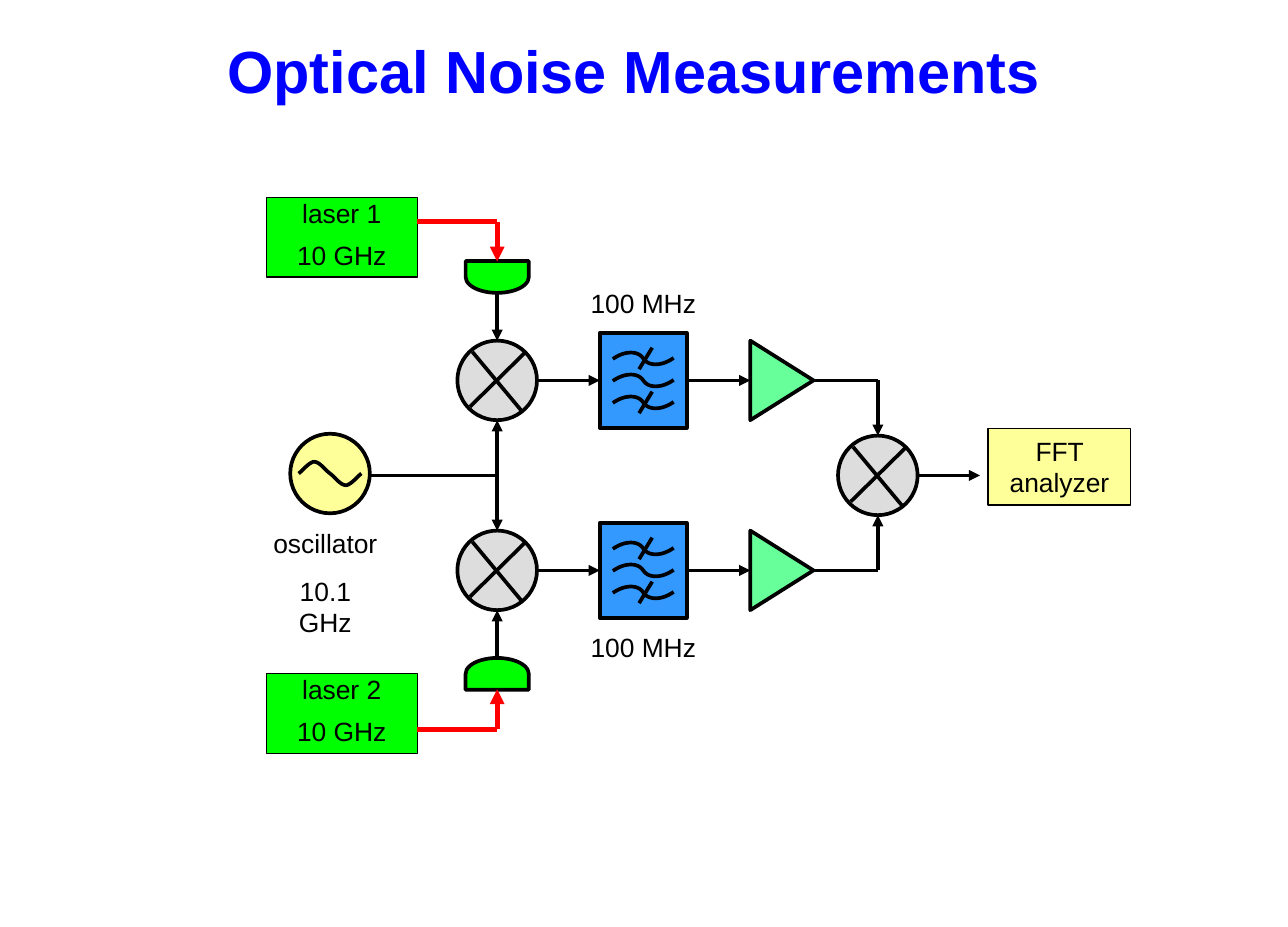
from dataclasses import dataclass

from lxml import etree
from pptx import Presentation
from pptx.dml.color import RGBColor
from pptx.enum.shapes import MSO_CONNECTOR, MSO_SHAPE
from pptx.enum.text import MSO_ANCHOR, MSO_AUTO_SIZE, PP_ALIGN
from pptx.oxml.ns import qn
from pptx.util import Cm, Pt

RECT, CIRCLE = MSO_SHAPE.RECTANGLE, MSO_SHAPE.OVAL
DELAY, TRIANGLE = MSO_SHAPE.FLOWCHART_DELAY, MSO_SHAPE.ISOSCELES_TRIANGLE
STRAIGHT = MSO_CONNECTOR.STRAIGHT
TOP, MIDDLE = MSO_ANCHOR.TOP, MSO_ANCHOR.MIDDLE
CENTER, NO_AUTOSIZE = PP_ALIGN.CENTER, MSO_AUTO_SIZE.NONE

COLORS = {
    "black": "000000", "title": "0000FF", "laser": "00FF00", "beam": "FF0000",
    "mixer": "DDDDDD", "filter": "3399FF", "amp": "66FF99", "device": "FFFF99",
}
FONT = "Arial"

MID_Y, ROW_GAP = 10.16, 2.03
OSC_X, OSC_Y, MIXER_X, OUT_X = 7.05, 10.12, 10.62, 18.75
FILTER_X, AMP_X, ANALYZER_X = 13.74, 16.7, 22.63
LASER_X, LASER_W = 7.3, 3.23
RADIUS, FILTER_W, FILTER_H, DEPTH = 0.85, 1.86, 2.03, 1.35
WAVE_PITCH = 0.47
OSC_WAVE = [(-0.67, 0), (-0.6, -0.05), (-0.44, -0.25), (-0.34, -0.25),
            (-0.22, -0.25), (-0.11, -0.08), (0, 0)]
FILTER_WAVE = [(-0.65, 0.01), (-0.39, -0.17), (-0.11, -0.17), (0, 0)]
CROSS = [(-0.58, 0.56, 0.61, -0.61), (0.53, 0.66, -0.53, -0.61)]
SLASH = (-0.09, 0.23, 0.19, -0.23)


@dataclass
class Block:
    kind: MSO_SHAPE
    x: float
    y: float
    w: float
    h: float
    fill: str
    weight: float = 2.25
    rotation: float = 0
    lines: tuple = ()
    spacing: float = 1.0


@dataclass
class Wire:
    x1: float
    y1: float
    x2: float
    y2: float
    arrow: bool = False
    color: str = "black"
    weight: float = 2.25


@dataclass
class Label:
    x: float
    y: float
    w: float
    h: float
    lines: tuple


@dataclass
class Wave:
    x: float
    y: float
    half: list


def rgb(name: str) -> RGBColor:
    return RGBColor.from_string(COLORS[name])


def write(tf, lines: tuple, size: float = 16, color: str = "black", bold: bool = False,
          anchor=TOP, before: float = 10, spacing: float = 1.0) -> None:
    tf.word_wrap = True
    tf.auto_size = NO_AUTOSIZE
    tf.vertical_anchor = anchor
    for i, line in enumerate(lines):
        p = tf.add_paragraph() if i else tf.paragraphs[0]
        p.alignment = CENTER
        p.space_before = Pt(before)
        p.line_spacing = spacing
        r = p.add_run()
        r.text = line
        r.font.name, r.font.size, r.font.bold = FONT, Pt(size), bold
        r.font.color.rgb = rgb(color)


def frame(item) -> tuple:
    return Cm(item.x - item.w / 2), Cm(item.y - item.h / 2), Cm(item.w), Cm(item.h)


def draw_block(s, block: Block) -> None:
    sp = s.shapes.add_shape(block.kind, *frame(block))
    sp.shadow.inherit = False
    sp.rotation = block.rotation
    sp.fill.solid()
    sp.fill.fore_color.rgb = rgb(block.fill)
    sp.line.color.rgb = rgb("black")
    sp.line.width = Pt(block.weight)
    if block.lines:
        write(sp.text_frame, block.lines, spacing=block.spacing)


def draw_wire(s, wire: Wire) -> None:
    ends = (Cm(v) for v in (wire.x1, wire.y1, wire.x2, wire.y2))
    sp = s.shapes.add_connector(STRAIGHT, *ends)
    sp.line.color.rgb = rgb(wire.color)
    sp.line.width = Pt(wire.weight)
    props = sp.element.spPr
    if wire.arrow:
        etree.SubElement(props.find(qn("a:ln")), qn("a:tailEnd"), type="triangle")
    etree.SubElement(props, qn("a:effectLst"))


def draw_label(s, label: Label) -> None:
    write(s.shapes.add_textbox(*frame(label)).text_frame, label.lines)


def bezier(points: list, steps: int = 12) -> list:
    curve = [points[0]]
    for i in range(0, len(points) - 1, 3):
        for n in range(1, steps + 1):
            t = n / steps
            weights = ((1 - t) ** 3, 3 * t * (1 - t) ** 2, 3 * t * t * (1 - t), t ** 3)
            curve.append(tuple(sum(k * pt[axis] for k, pt in zip(weights, points[i:i + 4]))
                               for axis in (0, 1)))
    return curve


def draw_wave(s, wave: Wave) -> None:
    mirrored = [(-x, -y) for x, y in reversed(wave.half[:-1])]
    points = [(Cm(wave.x + x), Cm(wave.y + y)) for x, y in bezier(wave.half + mirrored)]
    builder = s.shapes.build_freeform(*points[0])
    builder.add_line_segments(points[1:], close=False)
    sp = builder.convert_to_shape()
    sp.shadow.inherit = False
    sp.fill.background()
    sp.line.color.rgb = rgb("black")
    sp.line.width = Pt(2.25)


def stroke(x: float, y: float, ends: tuple) -> Wire:
    x1, y1, x2, y2 = ends
    return Wire(x + x1, y + y1, x + x2, y + y2)


def mixer(x: float, y: float) -> list:
    circle = Block(CIRCLE, x, y, 2 * RADIUS, 2 * RADIUS, "mixer")
    return [circle] + [stroke(x, y, ends) for ends in CROSS]


def band_filter(x: float, y: float) -> list:
    parts = [Block(RECT, x, y, FILTER_W, FILTER_H, "filter")]
    parts += [Wave(x, y + i * WAVE_PITCH, FILTER_WAVE) for i in (-1, 0, 1)]
    return parts + [stroke(x, y + i * WAVE_PITCH, SLASH) for i in (-1, 1)]


def channel(side: int, name: str) -> list:
    y = MID_Y + side * ROW_GAP
    beam_y = MID_Y + side * 5.42
    laser_right = LASER_X + LASER_W / 2
    amp_in, amp_out = AMP_X - DEPTH / 2, AMP_X + DEPTH / 2
    return [
        Block(RECT, LASER_X, MID_Y + side * 5.09, LASER_W, 1.7, "laser", 0.75,
              lines=(name, "10 GHz"), spacing=0.8),
        Block(DELAY, MIXER_X, MID_Y + side * 4.24, 0.68, DEPTH, "laser", rotation=-90 * side),
        *mixer(MIXER_X, y),
        *band_filter(FILTER_X, y),
        Block(TRIANGLE, AMP_X, y, 2 * RADIUS, DEPTH, "amp", rotation=90),
        Label(FILTER_X, MID_Y + side * 3.67, 2.87, 0.94, ("100 MHz",)),
        Wire(laser_right, beam_y, MIXER_X, beam_y, color="beam", weight=3),
        Wire(MIXER_X, beam_y, MIXER_X, MID_Y + side * 4.57, True, "beam", 3),
        Wire(MIXER_X, MID_Y + side * 3.9, MIXER_X, y + side * RADIUS, True),
        Wire(MIXER_X, MID_Y, MIXER_X, y - side * RADIUS, True),
        Wire(MIXER_X + RADIUS, y, FILTER_X - FILTER_W / 2, y, True),
        Wire(FILTER_X + FILTER_W / 2, y, amp_in, y, True),
        Wire(amp_out, y, OUT_X, y),
        Wire(OUT_X, y, OUT_X, MID_Y + side * RADIUS, True),
    ]


def main() -> None:
    prs = Presentation()
    prs.slide_width, prs.slide_height = Cm(27.51), Cm(19.81)
    s = prs.slides.add_slide(prs.slide_layouts[5])
    title = s.shapes.title
    title.left, title.top, title.width, title.height = Cm(2.11), Cm(0.66), Cm(22.86), Cm(1.65)
    write(title.text_frame, ("Optical Noise Measurements",), size=36, color="title",
          bold=True, anchor=MIDDLE, before=0)

    parts = [
        Block(CIRCLE, OSC_X, OSC_Y, 2 * RADIUS, 2 * RADIUS, "device"),
        Wave(OSC_X, OSC_Y, OSC_WAVE),
        Label(6.95, 12.45, 2.87, 2.64, ("oscillator", "10.1 GHz")),
        Wire(OSC_X + RADIUS, MID_Y, MIXER_X, MID_Y),
        *channel(-1, "laser 1"),
        *channel(1, "laser 2"),
        *mixer(OUT_X, MID_Y),
        Wire(OUT_X + RADIUS, MID_Y, 20.93, MID_Y, True),
        Block(RECT, ANALYZER_X, 9.98, 3.05, 1.63, "device", 0.75, lines=("FFT analyzer",)),
    ]
    draw = {Block: draw_block, Wire: draw_wire, Label: draw_label, Wave: draw_wave}
    for part in parts:
        draw[type(part)](s, part)
    prs.save("out.pptx")


if __name__ == "__main__":
    main()
